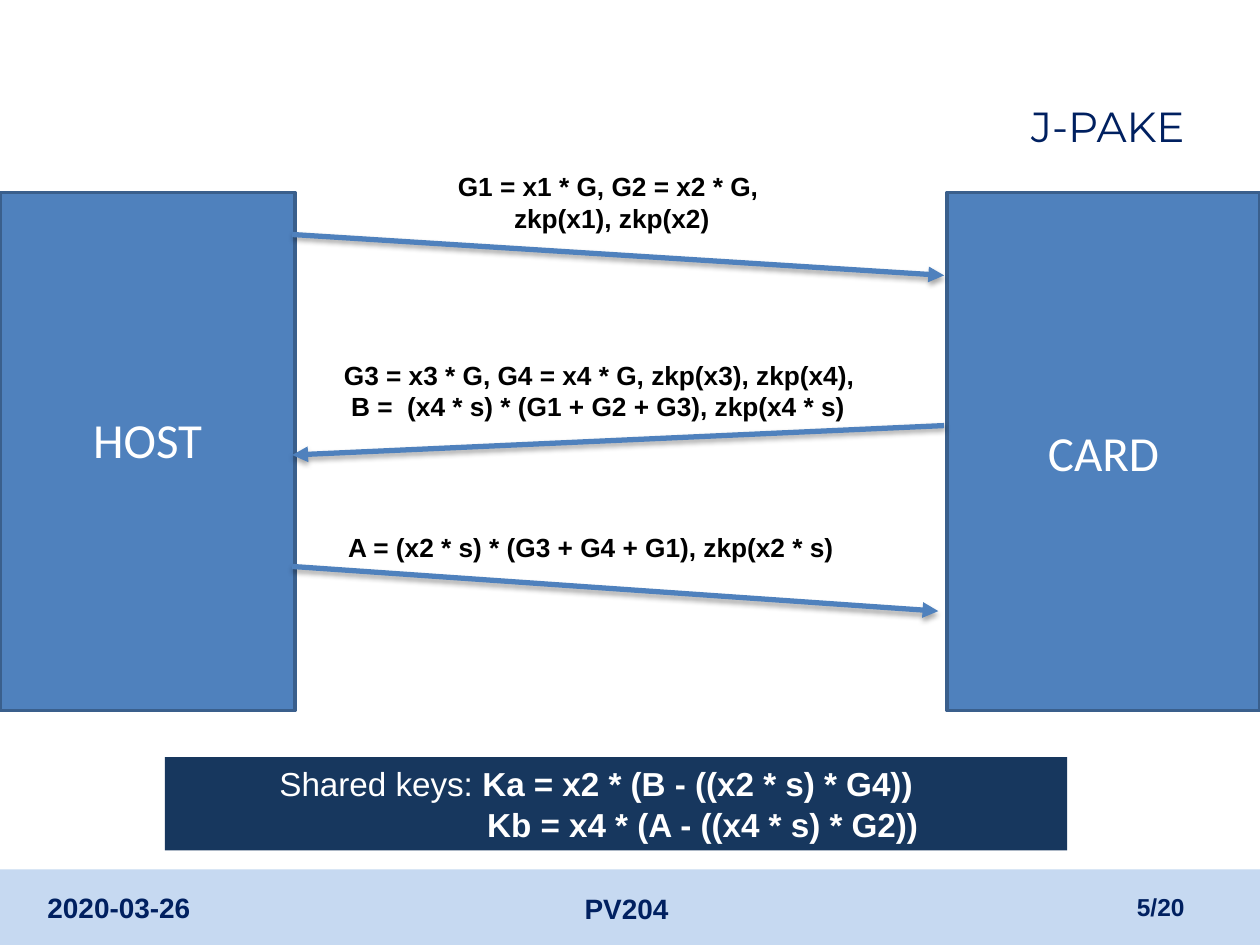
from lxml.etree import SubElement
from pptx import Presentation
from pptx.dml.color import RGBColor
from pptx.enum.shapes import MSO_CONNECTOR, MSO_SHAPE
from pptx.enum.text import MSO_ANCHOR, PP_ALIGN
from pptx.oxml import parse_xml
from pptx.oxml.ns import nsdecls, qn
from pptx.util import Pt

NAVY = RGBColor(0x00, 0x20, 0x60)
PALE = RGBColor(0xC6, 0xD9, 0xF1)
BLUE = RGBColor(0x4F, 0x81, 0xBD)
EDGE = RGBColor(0x3A, 0x5F, 0x8C)
DEEP = RGBColor(0x17, 0x37, 0x5E)
WHITE = RGBColor(0xFF, 0xFF, 0xFF)
BLACK = RGBColor(0x00, 0x00, 0x00)

LEFT, MID, RIGHT = PP_ALIGN.LEFT, PP_ALIGN.CENTER, PP_ALIGN.RIGHT
TITLE = dict(name="Montserrat", size=Pt(24))
FOOT = dict(name="Arial", size=Pt(16), bold=True)
PAGE = dict(FOOT, size=Pt(14))
PARTY = dict(name="Calibri", size=Pt(28))
STEP = dict(name="Arial", size=Pt(15), bold=True)
KEY = dict(name="Arial", size=Pt(19), bold=True)

SHADOW = (
    f'<a:effectLst {nsdecls("a")}>'
    '<a:outerShdw blurRad="40000" dist="23000" dir="5400000" rotWithShape="0">'
    '<a:srgbClr val="000000"><a:alpha val="35000"/></a:srgbClr>'
    '</a:outerShdw></a:effectLst>'
)


def add_run(para, text, fmt, color):
    run = para.add_run()
    run.text = text
    for key, value in fmt.items():
        setattr(run.font, key, value)
    run.font.color.rgb = color


def write(frame, lines, fmt, color, align):
    for num, line in enumerate(lines):
        para = frame.add_paragraph() if num else frame.paragraphs[0]
        para.alignment = align
        add_run(para, line, fmt, color)


def add_text(slide, area, lines, fmt, color=NAVY, align=LEFT,
             anchor=MSO_ANCHOR.MIDDLE, wrap=True):
    frame = slide.shapes.add_textbox(*map(Pt, area)).text_frame
    frame.word_wrap = wrap
    frame.vertical_anchor = anchor
    write(frame, lines, fmt, color, align)


def add_block(slide, area, fill, edge=None):
    block = slide.shapes.add_shape(MSO_SHAPE.RECTANGLE, *map(Pt, area))
    block.shadow.inherit = False
    block.fill.solid()
    block.fill.fore_color.rgb = fill
    if edge is None:
        block.line.fill.background()
    else:
        block.line.color.rgb = edge
        block.line.width = Pt(2)
    block.text_frame.vertical_anchor = MSO_ANCHOR.MIDDLE
    return block


def add_arrow(slide, *ends):
    arrow = slide.shapes.add_connector(MSO_CONNECTOR.STRAIGHT, *map(Pt, ends))
    arrow.line.color.rgb = BLUE
    arrow.line.width = Pt(3)
    SubElement(arrow.line._get_or_add_ln(), qn("a:tailEnd"), type="triangle")
    arrow._element.spPr.append(parse_xml(SHADOW))


def add_keys(slide):
    frame = add_block(slide, (94.3, 432.7, 515.5, 53.3), DEEP).text_frame
    first, second = frame.paragraphs[0], frame.add_paragraph()
    add_run(first, "Shared keys: ", dict(KEY, bold=False), WHITE)
    add_run(first, "Ka = x2 * (B - ((x2 * s) * G4))", KEY, WHITE)
    add_run(second, "Kb = x4 * (A - ((x4 * s) * G2))", KEY, WHITE)
    first.space_after = Pt(1)
    # Indent each line so that the two formulas stand together
    for para, left in ((first, 58.3), (second, 177)):
        para.alignment = LEFT
        para._p.get_or_add_pPr().set("marL", str(Pt(left)))


def main():
    deck = Presentation()
    deck.slide_width, deck.slide_height = Pt(720), Pt(540)
    slide = deck.slides.add_slide(deck.slide_layouts[6])

    # Title and footer
    add_block(slide, (0, 496.8, 720, 43.2), PALE)
    add_text(slide, (168.5, 31.7, 515.5, 80), ["J-PAKE"], TITLE, align=RIGHT)
    add_text(slide, (20, 504.3, 168, 28.8), ["2020-03-26"], FOOT)
    add_text(slide, (246.2, 504.9, 228.2, 28.8), ["PV204 "], FOOT, align=MID)
    add_text(slide, (516, 504, 168, 28.8), ["5/20"], PAGE, align=RIGHT)

    # The two parties; HOST sits a little above the middle
    for name, left, width, low in (("HOST", 0, 168.7, 18),
                                   ("CARD", 541.2, 178.8, 3.6)):
        block = add_block(slide, (left, 110, width, 296), BLUE, EDGE)
        block.text_frame.margin_bottom = Pt(low)
        write(block.text_frame, [name], PARTY, WHITE, MID)

    # Messages between them
    add_arrow(slide, 167, 134, 539.5, 157.4)
    add_arrow(slide, 539.5, 243.2, 167, 260)
    add_arrow(slide, 167, 323.7, 536.2, 349.2)

    # Message contents
    for area, align, lines in (
        ((252.7, 93.8, 193.7, 62), MID,
         ["G1 = x1 * G, G2 = x2 * G, ", "zkp(x1), zkp(x2)"]),
        ((189.4, 201.6, 308.9, 62), LEFT,
         ["G3 = x3 * G, G4 = x4 * G, zkp(x3), zkp(x4),",
          " B =  (x4 * s) * (G1 + G2 + G3), zkp(x4 * s)"]),
        ((189.4, 300, 296.6, 44), MID,
         ["A = (x2 * s) * (G3 + G4 + G1), zkp(x2 * s)"]),
    ):
        add_text(slide, area, lines, STEP, BLACK, align, MSO_ANCHOR.TOP, False)

    # Result
    add_keys(slide)
    deck.save("out.pptx")


if __name__ == "__main__":
    main()
